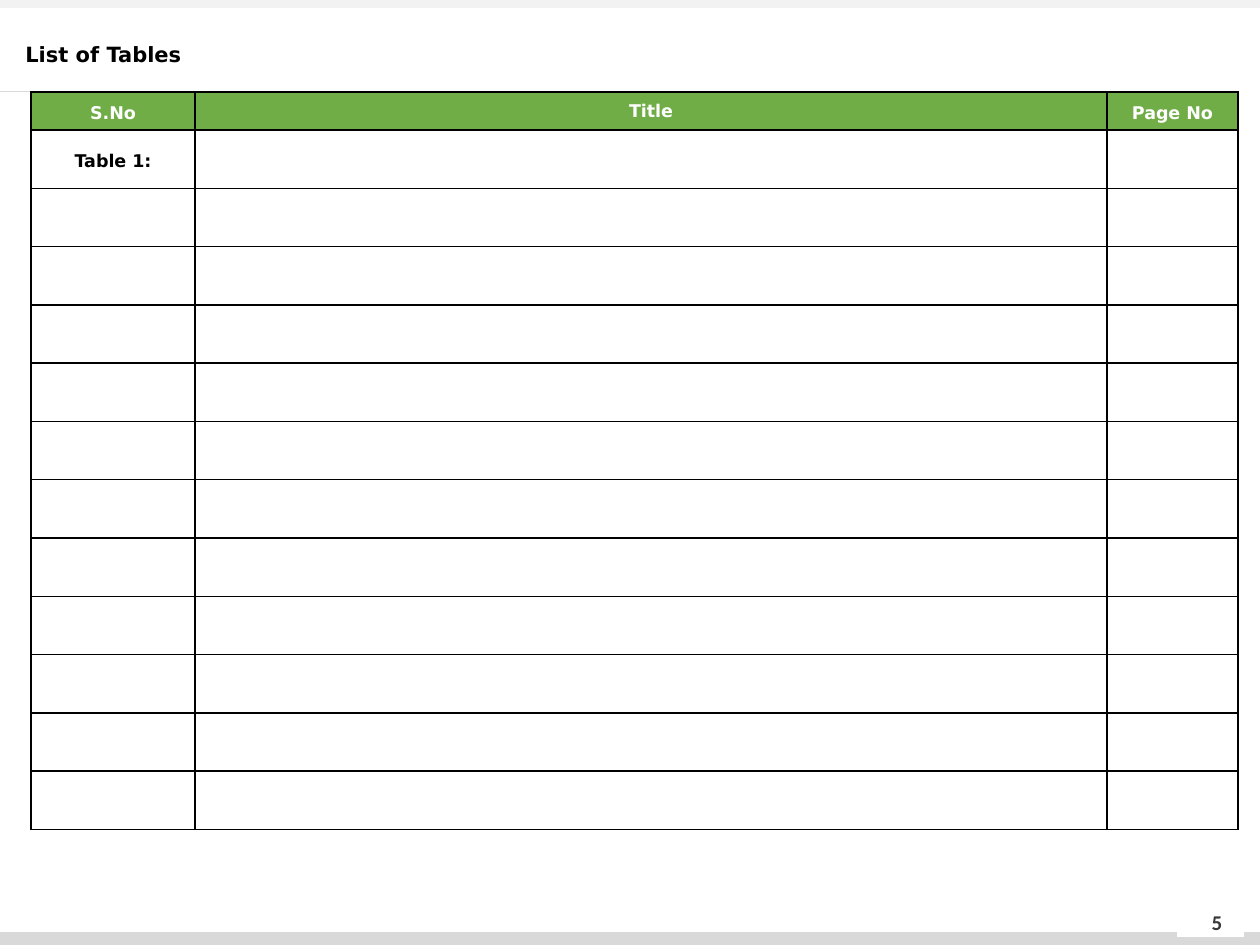
from lxml import etree
from pptx import Presentation
from pptx import util as u
from pptx.dml.color import RGBColor
from pptx.enum import shapes, text
from pptx.oxml.ns import qn

PX = 914400 / 126
BLACK, WHITE, GREEN = "000000", "FFFFFF", "70AD47"
LIGHT, PALE, CHARCOAL = "D9D9D9", "F2F2F2", "3B3838"


def px(*lengths):
    return [u.Emu(round(length * PX)) for length in lengths]


def write(frame, words, size, font, colour, align=None, spacing=None):
    """Put one bold run, vertically centred, into a text box or cell."""
    frame.word_wrap = True
    frame.vertical_anchor = text.MSO_ANCHOR.MIDDLE
    paragraph = frame.paragraphs[0]
    paragraph.alignment = align
    paragraph.line_spacing = spacing
    run = paragraph.add_run()
    run.text = words
    run.font.size = u.Pt(size)
    run.font.name = font
    run.font.bold = True
    run.font.color.rgb = RGBColor.from_string(colour)


prs = Presentation()
prs.slide_width, prs.slide_height = px(1260, 945)
slide = prs.slides.add_slide(prs.slide_layouts[6])

# Bands at the foot and head, and the white tab behind the page number
for box, colour in [
    ((0, 932, 1260, 19), LIGHT),
    ((0, 0, 1260, 8), PALE),
    ((1177, 910, 67, 27), WHITE),
]:
    band = slide.shapes.add_shape(shapes.MSO_SHAPE.RECTANGLE, *px(*box))
    band.shadow.inherit = False
    band.fill.solid()
    band.fill.fore_color.rgb = RGBColor.from_string(colour)
    band.line.fill.background()

rule = slide.shapes.add_connector(shapes.MSO_CONNECTOR.STRAIGHT, *px(0, 91, 712, 91))
rule.line.color.rgb = RGBColor.from_string(LIGHT)
rule.line.width = u.Pt(0.5)
etree.SubElement(rule._element.spPr, qn("a:effectLst"))

page_number = slide.shapes.add_textbox(*px(1186, 897, 62, 50))
write(page_number.text_frame, "5", 12, "Calibri", CHARCOAL, text.PP_ALIGN.CENTER)

heading = slide.shapes.add_textbox(*px(13, 32, 999, 40))
write(heading.text_frame, "List of Tables", 12, "DejaVu Sans", BLACK, spacing=u.Pt(17))

# Table list: a header row and twelve equal rows
ENTRIES = 12
HEADER_HEIGHT, BODY_HEIGHT = 38, 700
column_widths = [164, 912, 131]
listing = slide.shapes.add_table(
    ENTRIES + 1, len(column_widths),
    *px(31, 92, sum(column_widths), HEADER_HEIGHT + BODY_HEIGHT),
).table
listing.first_row = False
listing.horz_banding = False
for column, width in zip(listing.columns, px(*column_widths)):
    column.width = width
row_heights = [HEADER_HEIGHT] + [BODY_HEIGHT / ENTRIES] * ENTRIES
for row, height in zip(listing.rows, px(*row_heights)):
    row.height = height

for cell in listing.iter_cells():
    properties = cell._tc.get_or_add_tcPr()
    for side in ("a:lnL", "a:lnR", "a:lnT", "a:lnB"):
        border = etree.SubElement(properties, qn(side), w=str(u.Pt(1)))
        fill = etree.SubElement(border, qn("a:solidFill"))
        etree.SubElement(fill, qn("a:srgbClr"), val=BLACK)
    cell.fill.background()

for col, (label, spacing) in enumerate([("S.No", 1.2), ("Title", None), ("Page No", 1.2)]):
    cell = listing.cell(0, col)
    cell.fill.solid()
    cell.fill.fore_color.rgb = RGBColor.from_string(GREEN)
    write(cell.text_frame, label, 10, "DejaVu Sans", WHITE, text.PP_ALIGN.CENTER, spacing)
    cell.vertical_anchor = text.MSO_ANCHOR.MIDDLE

first_entry = listing.cell(1, 0)
write(first_entry.text_frame, "Table 1:", 10, "DejaVu Sans", BLACK, text.PP_ALIGN.CENTER, 1.2)
first_entry.vertical_anchor = text.MSO_ANCHOR.MIDDLE

prs.save("out.pptx")
